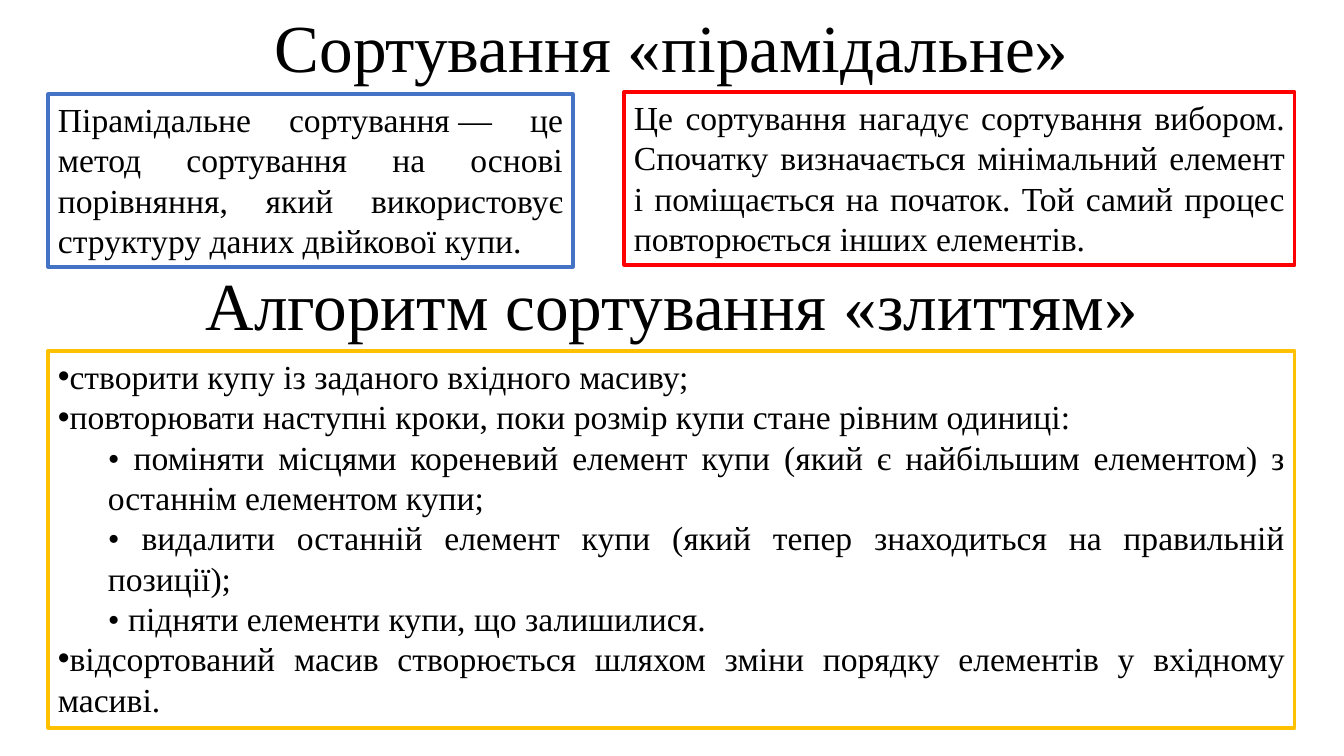
from dataclasses import dataclass

from lxml.etree import SubElement
from pptx import Presentation
from pptx.dml.color import RGBColor
from pptx.enum.shapes import MSO_SHAPE as Preset
from pptx.enum.text import MSO_ANCHOR as Anchor, MSO_AUTO_SIZE as AutoSize, PP_ALIGN as Align
from pptx.oxml.ns import qn
from pptx.util import Emu, Pt

EMU_PER_PIXEL = 914400 / 100.8
SLIDE_WIDTH, SLIDE_HEIGHT = 1344, 756
HEADING_HEIGHT = 92
STEP_INDENT = 50
FONT = "Times New Roman"
COLORS = {
    "text": "000000",
    "definition": "4472C4",
    "comparison": "FF0000",
    "algorithm": "FFC000",
}


@dataclass(frozen=True)
class Line:
    text: str
    bullet: bool = False
    level: int = 0


@dataclass(frozen=True)
class Frame:
    left: int
    top: int
    width: int
    height: int
    color: str
    lines: tuple[Line, ...]


FRAMES = (
    Frame(48, 94, 525, 173, "definition", (
        Line("Пірамідальне сортування\u00a0— це метод сортування на основі порівняння, "
             "який використовує структуру даних двійкової купи."),
    )),
    Frame(624, 92, 671, 173, "comparison", (
        Line("Це сортування нагадує сортування вибором. Спочатку визначається мінімальний "
             "елемент і поміщається на початок. Той самий процес повторюється інших елементів."),
    )),
    Frame(48, 351, 1247, 377, "algorithm", (
        Line("створити купу із заданого вхідного масиву;", bullet=True),
        Line("повторювати наступні кроки, поки розмір купи стане рівним одиниці:", bullet=True),
        Line("• поміняти місцями кореневий елемент купи (який є найбільшим елементом) "
             "з останнім елементом купи;", level=1),
        Line("• видалити останній елемент купи (який тепер знаходиться на правильній позиції);",
             level=1),
        Line("• підняти елементи купи, що залишилися.", level=1),
        Line("відсортований масив створюється шляхом зміни порядку елементів у вхідному масиві.",
             bullet=True),
    )),
)


def px(pixels: int) -> Emu:
    return Emu(round(pixels * EMU_PER_PIXEL))


def place(shape, left: int, top: int, width: int, height: int) -> None:
    shape.left, shape.top = px(left), px(top)
    shape.width, shape.height = px(width), px(height)


def format_paragraph(paragraph, size: int, alignment: Align) -> None:
    paragraph.alignment = alignment
    paragraph.font.name = FONT
    paragraph.font.size = Pt(size)
    paragraph.font.color.rgb = RGBColor.from_string(COLORS["text"])


def prepare_text(shape) -> None:
    text_frame = shape.text_frame
    text_frame.word_wrap = True
    text_frame.auto_size = AutoSize.NONE
    text_frame.vertical_anchor = Anchor.TOP


def write_heading(shape, text: str, top: int) -> None:
    place(shape, 0, top, SLIDE_WIDTH, HEADING_HEIGHT)
    prepare_text(shape)
    shape.text_frame.text = text
    format_paragraph(shape.text_frame.paragraphs[0], 48, Align.CENTER)


def draw_frame(slide, frame: Frame) -> None:
    shape = slide.shapes.add_shape(Preset.RECTANGLE, 0, 0, 0, 0)
    place(shape, frame.left, frame.top, frame.width, frame.height)
    shape.shadow.inherit = False
    shape.fill.background()
    shape.line.color.rgb = RGBColor.from_string(COLORS[frame.color])
    shape.line.width = Pt(2.25)
    prepare_text(shape)
    for index, line in enumerate(frame.lines):
        text_frame = shape.text_frame
        paragraph = text_frame.add_paragraph() if index else text_frame.paragraphs[0]
        paragraph.text = line.text
        paragraph.level = line.level
        format_paragraph(paragraph, 24, Align.JUSTIFY)
        properties = paragraph._p.get_or_add_pPr()
        properties.set("marL", str(px(STEP_INDENT * line.level)))
        properties.set("indent", "0")
        if line.bullet:
            bullet_font = properties.makeelement(qn("a:buFont"), {"typeface": "Arial"})
            properties.insert(0, bullet_font)
            bullet = SubElement(properties, qn("a:buChar"), char="•")
            bullet_font.addnext(bullet)


presentation = Presentation()
presentation.slide_width, presentation.slide_height = px(SLIDE_WIDTH), px(SLIDE_HEIGHT)
slide = presentation.slides.add_slide(presentation.slide_layouts[5])

# Headings
write_heading(slide.shapes.title, "Сортування «пірамідальне»", 0)
write_heading(slide.shapes.add_textbox(0, 0, 0, 0), "Алгоритм сортування «злиттям»", 258)

# Framed texts
for frame in FRAMES:
    draw_frame(slide, frame)

presentation.save("out.pptx")
